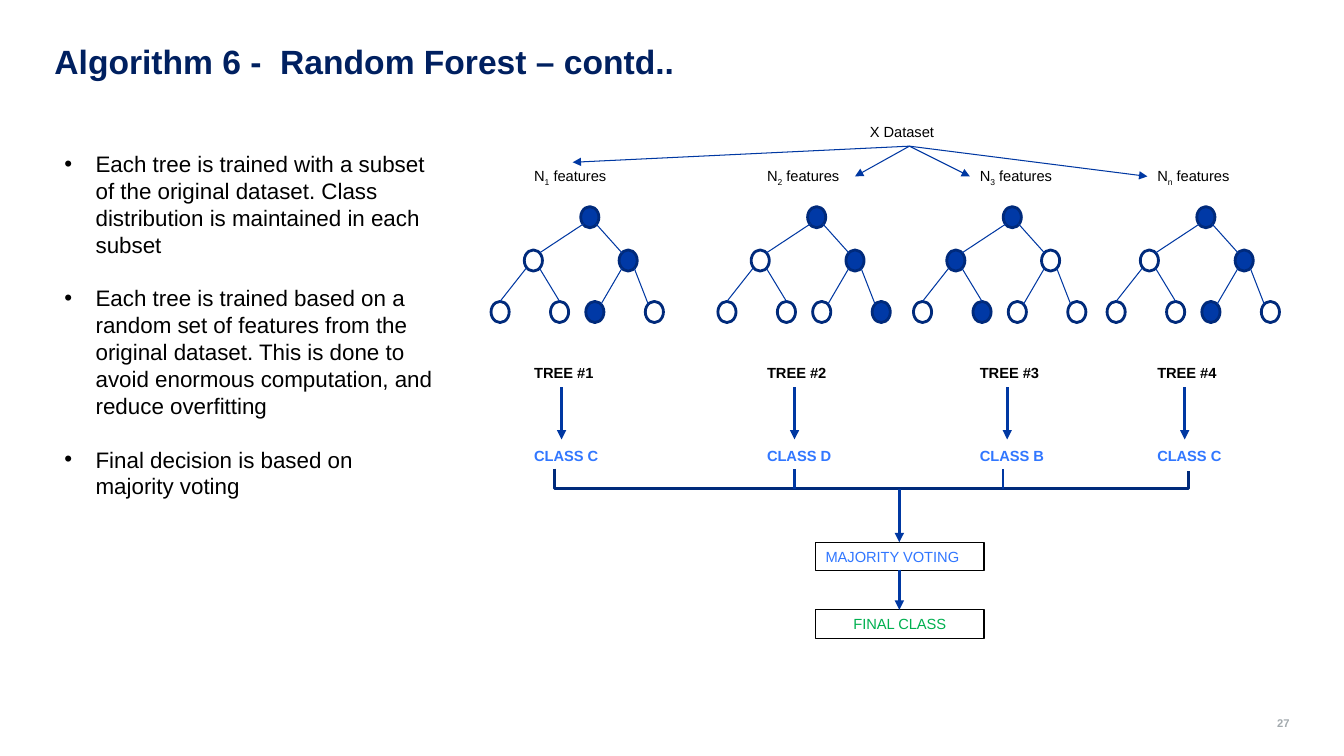
from dataclasses import dataclass

from lxml import etree
from pptx import Presentation
from pptx import util as u
from pptx.dml import color as dml
from pptx.enum import shapes as es, text as et
from pptx.oxml import ns


@dataclass(frozen=True)
class Theme:
    """Colours, type sizes and font of the slide."""
    font: str = "Arial"
    title: str = "002060"
    ink: str = "000000"
    grey: str = "A3AAAE"
    node: str = "0039A6"
    edge: str = "002A7B"
    link: str = "0038A2"
    vote: str = "3177FF"
    final: str = "00B050"
    head: float = 24
    body: float = 16
    label: float = 10.5
    page: float = 8


T = Theme()
POINTS = [
    "Each tree is trained with a subset of the original dataset. Class "
    "distribution is maintained in each subset",
    "Each tree is trained based on a random set of features from the original "
    "dataset. This is done to avoid enormous computation, and reduce overfitting",
    "Final decision is based on majority voting",
]
NODES = [(0.89, 0), (0.33, 0.43), (1.27, 0.43),
         (0, 0.94), (0.59, 0.94), (0.94, 0.94), (1.53, 0.94)]
EDGES = [(0.92, 0.17, 0.48, 0.46), (1.04, 0.17, 1.3, 0.46),
         (0.09, 0.94, 0.35, 0.61), (0.68, 0.94, 0.48, 0.61),
         (1.09, 0.97, 1.3, 0.61), (1.42, 0.61, 1.56, 0.97)]
TREES = [
    (4.87, 5.2, "1", "TREE #1", "CLASS C", {0, 2, 5}),
    (7.12, 7.51, "2", "TREE #2", "CLASS D", {0, 2, 6}),
    (9.06, 9.62, "3", "TREE #3", "CLASS B", {0, 1, 4}),
    (10.98, 11.38, "n", "TREE #4", "CLASS C", {0, 2, 5}),
]


def rgb(code):
    """Turn a hex code into a colour."""
    return dml.RGBColor.from_string(code)


def style(para, size, color, bold=False):
    """Set the font of a paragraph."""
    font = para.font
    font.name, font.size, font.bold = T.font, u.Pt(size), bold
    font.color.rgb = rgb(color)


def textbox(slide, x, y, w, h, inset=True):
    """Add a wrapping text box and return its frame."""
    frame = slide.shapes.add_textbox(*map(u.Inches, (x, y, w, h))).text_frame
    frame.word_wrap = True
    if not inset:
        frame.margin_left = frame.margin_right = 0
        frame.margin_top = frame.margin_bottom = 0
    return frame


def label(slide, x, y, words, color=T.ink, bold=False):
    """Add a diagram label, given as one or more runs."""
    para = textbox(slide, x, y, 0.97, 0.28).paragraphs[0]
    for word in words:
        para.add_run().text = word
    style(para, T.label, color, bold)
    return para


def line(slide, x1, y1, x2, y2, width=0.75, arrow=False):
    """Draw a straight line, with an arrowhead at its end if asked."""
    link = slide.shapes.add_connector(
        es.MSO_CONNECTOR.STRAIGHT, *map(u.Inches, (x1, y1, x2, y2)))
    link.line.color.rgb = rgb(T.link)
    link.line.width = u.Pt(width)
    if arrow:
        etree.SubElement(link.line._ln, ns.qn("a:tailEnd"), type="triangle")
    etree.SubElement(link._element.spPr, ns.qn("a:effectLst"))


def shape(slide, kind, x, y, w, h, edge, width, fill=None):
    """Add an outlined preset shape."""
    item = slide.shapes.add_shape(kind, *map(u.Inches, (x, y, w, h)))
    item.shadow.inherit = False
    if fill:
        item.fill.solid()
        item.fill.fore_color.rgb = rgb(fill)
    else:
        item.fill.background()
    item.line.color.rgb = rgb(edge)
    item.line.width = u.Pt(width)
    return item


def heading(slide, x, y, w, h):
    """Add the slide title."""
    frame = textbox(slide, x, y, w, h, inset=False)
    frame.vertical_anchor = et.MSO_ANCHOR.BOTTOM
    para = frame.paragraphs[0]
    para.text = "Algorithm 6 -  Random Forest – contd.."
    para.line_spacing = 0.9
    style(para, T.head, T.title, True)


def footer(slide, x, y, w, h):
    """Add the page number."""
    frame = textbox(slide, x, y, w, h, inset=False)
    frame.vertical_anchor = et.MSO_ANCHOR.MIDDLE
    para = frame.paragraphs[0]
    para.text = "27"
    para.alignment = et.PP_ALIGN.RIGHT
    style(para, T.page, T.grey, True)


def bullets(slide, x, y, w, h):
    """Add the bulleted points."""
    frame = textbox(slide, x, y, w, h)
    for i, point in enumerate(POINTS):
        para = frame.add_paragraph() if i else frame.paragraphs[0]
        para.text = point
        props = para._p.get_or_add_pPr()
        props.set("marL", str(u.Inches(0.31)))
        props.set("indent", str(-u.Inches(0.31)))
        etree.SubElement(props, ns.qn("a:buFont"), typeface=T.font)
        etree.SubElement(props, ns.qn("a:buChar"), char="•")
        para.line_spacing = u.Pt(19.2)
        if i:
            para.space_before = u.Pt(19.2)
        style(para, T.body, T.ink)


def tree(slide, x, y, chosen):
    """Draw one decision tree with its chosen nodes filled."""
    for i, (dx, dy) in enumerate(NODES):
        shape(slide, es.MSO_SHAPE.OVAL, x + dx, y + dy, 0.18, 0.21,
              T.edge, 2, T.node if i in chosen else None)
    for x1, y1, x2, y2 in EDGES:
        line(slide, x + x1, y + y1, x + x2, y + y2)


def forest(slide, y):
    """Draw the dataset, the trees and their classes."""
    label(slide, 8.53, y, ["X Dataset"])
    for tip, drop in ((5.68, 0.44), (8.48, 0.58), (9.62, 0.58), (11.38, 0.58)):
        line(slide, 9.02, y + 0.28, tip, y + drop, arrow=True)
    for left, x, sub, name, group, chosen in TREES:
        para = label(slide, x, y + 0.44, ["N", sub, " features"])
        para.runs[1].font._element.set("baseline", "-25000")
        tree(slide, left, y + 0.88, chosen)
        label(slide, x, y + 2.39, [name], bold=True)
        line(slide, x + 0.37, y + 2.67, x + 0.37, y + 3.19, 2.25, True)
        label(slide, x, y + 3.21, [group], T.vote, True)


def voting(slide, y):
    """Join the classes and lead them to the final class."""
    pen = slide.shapes.build_freeform(u.Inches(5.5), u.Inches(y))
    ends = [(5.5, y + 0.2), (11.79, y + 0.2), (11.79, y + 0.02)]
    pen.add_line_segments([tuple(map(u.Inches, end)) for end in ends], close=False)
    rail = pen.convert_to_shape()
    rail.shadow.inherit = False
    rail.fill.background()
    rail.line.color.rgb = rgb(T.edge)
    rail.line.width = u.Pt(2)
    for x in (7.88, 9.95):
        line(slide, x, y + 0.2, x, y, 1.5)
    for dy, words, color, align in (
            (0.73, "MAJORITY VOTING", T.vote, et.PP_ALIGN.LEFT),
            (1.4, "FINAL CLASS", T.final, et.PP_ALIGN.CENTER)):
        box = shape(slide, es.MSO_SHAPE.RECTANGLE, 8.09, y + dy, 1.67, 0.28,
                    T.ink, 0.75)
        para = box.text_frame.paragraphs[0]
        para.text, para.alignment = words, align
        style(para, T.label, color)
    for top, end in ((0.2, 0.73), (1, 1.4)):
        line(slide, 8.92, y + top, 8.92, y + end, 2.25, True)


def main():
    """Build and save the slide."""
    deck = Presentation()
    deck.slide_width, deck.slide_height = u.Inches(13.33), u.Inches(7.5)
    slide = deck.slides.add_slide(deck.slide_layouts[6])
    heading(slide, 0.54, 0.45, 12, 0.36)
    footer(slide, 11.09, 7.12, 1.7, 0.1)
    bullets(slide, 0.54, 1.44, 3.89, 3.6)
    forest(slide, 1.17)
    voting(slide, 4.65)
    deck.save("out.pptx")


if __name__ == "__main__":
    main()
